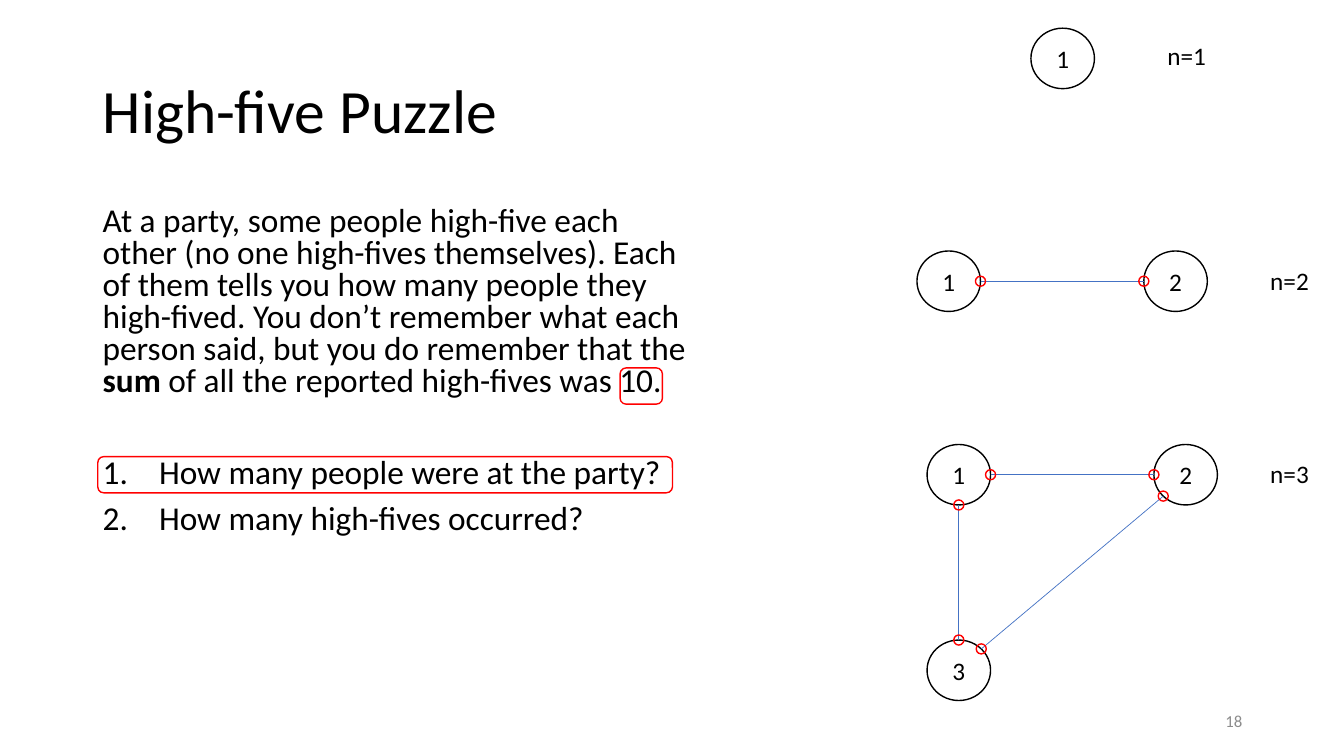
from dataclasses import dataclass
from math import cos, radians, sin

from lxml import etree
from pptx import Presentation
from pptx.dml.color import RGBColor
from pptx.enum.shapes import MSO_CONNECTOR, MSO_SHAPE
from pptx.enum.text import MSO_ANCHOR, MSO_AUTO_SIZE, PP_ALIGN
from pptx.oxml.ns import qn
from pptx.shapes.autoshape import Shape
from pptx.slide import Slide
from pptx.text.text import TextFrame
from pptx.util import Inches, Pt

LEFT, CENTER, RIGHT = PP_ALIGN.LEFT, PP_ALIGN.CENTER, PP_ALIGN.RIGHT
TOP, MIDDLE = MSO_ANCHOR.TOP, MSO_ANCHOR.MIDDLE
OVAL, ROUNDED = MSO_SHAPE.OVAL, MSO_SHAPE.ROUNDED_RECTANGLE
STRAIGHT = MSO_CONNECTOR.STRAIGHT
NO_AUTOFIT = MSO_AUTO_SIZE.NONE
TITLE_ONLY = 5


@dataclass(frozen=True)
class Theme:
    font: str = "Calibri"
    ink: RGBColor = RGBColor(0x00, 0x00, 0x00)
    muted: RGBColor = RGBColor(0x8C, 0x8C, 0x8C)
    edge: RGBColor = RGBColor(0x44, 0x72, 0xC4)
    mark: RGBColor = RGBColor(0xFF, 0x00, 0x00)
    title_size: float = 44
    body_size: float = 23.8
    label_size: float = 18
    number_size: float = 12


@dataclass(frozen=True)
class Box:
    left: float
    top: float
    width: float
    height: float

    def lengths(self) -> tuple:
        return tuple(Inches(v) for v in (self.left, self.top, self.width, self.height))


@dataclass(frozen=True)
class Person:
    number: int
    x: float
    y: float

    def rim(self, angle: float) -> tuple[float, float]:
        """Point on the circle, with the angle clockwise from the right."""
        turn = radians(angle)
        return (self.x + PERSON_WIDTH / 2 * cos(turn),
                self.y + PERSON_HEIGHT / 2 * sin(turn))


@dataclass(frozen=True)
class HighFive:
    """Indexes of two people and the rim angles where their line ends."""
    first: int
    first_angle: float
    second: int
    second_angle: float


@dataclass(frozen=True)
class Party:
    caption: str
    caption_left: float
    caption_top: float
    people: tuple[Person, ...]
    high_fives: tuple[HighFive, ...] = ()


THEME = Theme()
PERSON_WIDTH, PERSON_HEIGHT = 0.63, 0.6
HAND = 0.1
ACROSS = HighFive(0, 0, 1, 180)

PARTIES = (
    Party("n=1", 11.48, 0.35, (Person(1, 10.54, 0.58),)),
    Party("n=2", 12.5, 2.58, (Person(1, 9.41, 2.79), Person(2, 11.66, 2.79)), (ACROSS,)),
    Party("n=3", 12.5, 4.5,
          (Person(1, 9.51, 4.71), Person(2, 11.76, 4.71), Person(3, 9.51, 6.65)),
          (ACROSS, HighFive(0, 90, 2, 270), HighFive(2, 315, 1, 135))),
)
HIGHLIGHTS = (Box(6.15, 3.65, 0.42, 0.36), Box(0.97, 4.53, 5.7, 0.36))

STORY = (
    ("At a party, some people high-five each other (no one high-fives themselves). "
     "Each of them tells you how many people they high-fived. You don’t remember what "
     "each person said, but you do remember that the ", False),
    ("sum", True),
    (" of all the reported high-fives was 10.", False),
)
QUESTIONS = (("How many people were at the party?", 43),
             ("How many high-fives occurred?", 10))


def format_text(frame: TextFrame, size: float, color: RGBColor = THEME.ink,
                align: PP_ALIGN = LEFT, spacing: float = 1.0) -> None:
    for paragraph in frame.paragraphs:
        paragraph.alignment = align
        paragraph.line_spacing = spacing
        for run in paragraph.runs:
            run.font.name = THEME.font
            run.font.size = Pt(size)
            run.font.color.rgb = color


def add_label(slide: Slide, box: Box, text: str, size: float, color: RGBColor = THEME.ink,
              align: PP_ALIGN = LEFT, anchor: MSO_ANCHOR = TOP, wrap: bool = False) -> None:
    frame = slide.shapes.add_textbox(*box.lengths()).text_frame
    frame.word_wrap = wrap
    frame.vertical_anchor = anchor
    frame.text = text
    format_text(frame, size, color, align)


def add_outline(slide: Slide, kind: MSO_SHAPE, box: Box, color: RGBColor) -> Shape:
    outline = slide.shapes.add_shape(kind, *box.lengths())
    outline.shadow.inherit = False
    outline.fill.background()
    outline.line.color.rgb = color
    outline.line.width = Pt(1)
    return outline


def add_circle(slide: Slide, x: float, y: float, width: float, height: float,
               color: RGBColor) -> Shape:
    return add_outline(slide, OVAL, Box(x - width / 2, y - height / 2, width, height), color)


def add_person(slide: Slide, person: Person) -> None:
    circle = add_circle(slide, person.x, person.y, PERSON_WIDTH, PERSON_HEIGHT, THEME.ink)
    frame = circle.text_frame
    frame.margin_left = frame.margin_right = frame.margin_top = frame.margin_bottom = 0
    frame.vertical_anchor = MIDDLE
    frame.text = str(person.number)
    format_text(frame, THEME.label_size, align=CENTER)


def add_high_five(slide: Slide, people: tuple[Person, ...], high_five: HighFive) -> None:
    """Join two people with a line and mark the hand at each end."""
    ends = (people[high_five.first].rim(high_five.first_angle),
            people[high_five.second].rim(high_five.second_angle))
    edge = slide.shapes.add_connector(STRAIGHT, *(Inches(v) for end in ends for v in end))
    edge.line.color.rgb = THEME.edge
    edge.line.width = Pt(0.5)
    etree.SubElement(edge._element.spPr, qn("a:effectLst"))
    for x, y in ends:
        add_circle(slide, x, y, HAND, HAND, THEME.mark)


def add_party(slide: Slide, party: Party) -> None:
    for person in party.people:
        add_person(slide, person)
    for high_five in party.high_fives:
        add_high_five(slide, party.people, high_five)
    add_label(slide, Box(party.caption_left, party.caption_top, 0.59, 0.4),
              party.caption, THEME.label_size)


def add_title(slide: Slide) -> None:
    title = slide.shapes.title
    title.left, title.top, title.width, title.height = Box(0.92, 0.4, 6.52, 1.45).lengths()
    frame = title.text_frame
    frame.text = "High-five Puzzle"
    frame.auto_size = NO_AUTOFIT
    frame.vertical_anchor = MIDDLE
    format_text(frame, THEME.title_size, spacing=0.9)


def add_puzzle(slide: Slide) -> None:
    frame = slide.shapes.add_textbox(*Box(0.92, 2, 6.06, 3.82).lengths()).text_frame
    frame.word_wrap = True
    story = frame.paragraphs[0]
    for text, bold in STORY:
        run = story.add_run()
        run.text = text
        run.font.bold = bold
    for text, space_before in QUESTIONS:
        question = frame.add_paragraph()
        question.text = text
        properties = question._p.get_or_add_pPr()
        properties.set("marL", str(Inches(0.56)))
        properties.set("indent", str(-Inches(0.56)))
        etree.SubElement(properties, qn("a:buAutoNum"), type="arabicPeriod")
        question.space_before = Pt(space_before)
    format_text(frame, THEME.body_size, spacing=0.8)


def main() -> None:
    deck = Presentation()
    deck.slide_width, deck.slide_height = Inches(13.33), Inches(7.5)
    slide = deck.slides.add_slide(deck.slide_layouts[TITLE_ONLY])
    add_title(slide)
    add_puzzle(slide)
    for party in PARTIES:
        add_party(slide, party)
    for highlight in HIGHLIGHTS:
        add_outline(slide, ROUNDED, highlight, THEME.mark)
    add_label(slide, Box(9.42, 6.95, 3, 0.4), "18", THEME.number_size, THEME.muted,
              RIGHT, MIDDLE, wrap=True)
    deck.save("out.pptx")


if __name__ == "__main__":
    main()
